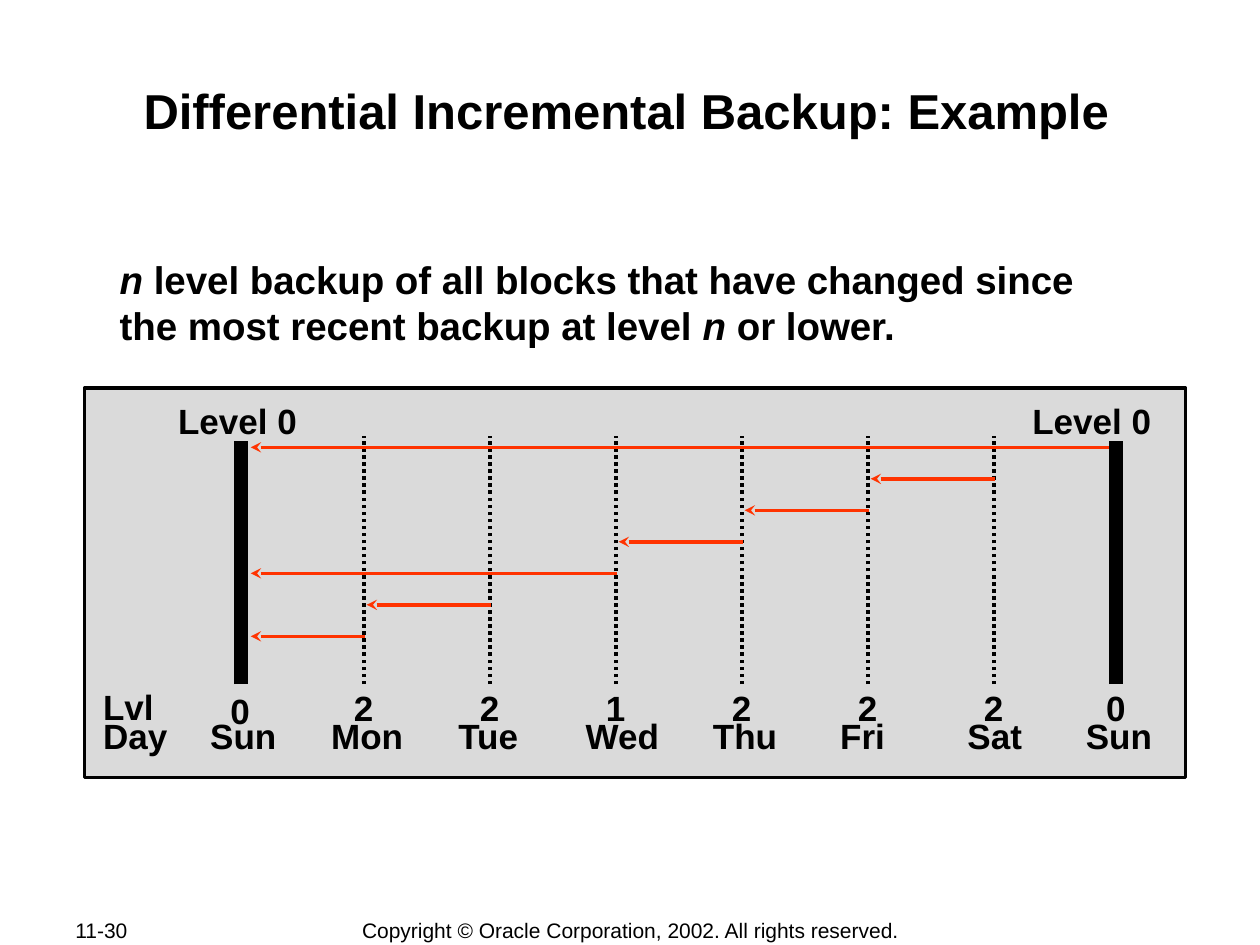
from pptx import Presentation
from pptx.dml.color import RGBColor
from pptx.enum.dml import MSO_LINE
from pptx.enum.shapes import MSO_CONNECTOR, MSO_SHAPE
from pptx.enum.text import MSO_ANCHOR, PP_ALIGN
from pptx.oxml.ns import qn
from pptx.util import Pt
from lxml import etree

BLACK = RGBColor(0x00, 0x00, 0x00)
GREY = RGBColor(0xDA, 0xDA, 0xDA)
RED = RGBColor(0xFF, 0x33, 0x00)
LEFT, CENTER = PP_ALIGN.LEFT, PP_ALIGN.CENTER
TOP, MIDDLE = MSO_ANCHOR.TOP, MSO_ANCHOR.MIDDLE
STRAIGHT, RECTANGLE = MSO_CONNECTOR.STRAIGHT, MSO_SHAPE.RECTANGLE
DOTTED = MSO_LINE.ROUND_DOT
COLS, ROWS = 10, 7.5

DAYS = ["Sun", "Mon", "Tue", "Wed", "Thu", "Fri", "Sat", "Sun"]
LEVELS = [0, 2, 2, 1, 2, 2, 2, 0]
DAY_X = [1.91] + [2.89 + i for i in range(6)] + [8.86]
LABEL_X = [1.57] + [2.53 + 1.01 * i for i in range(6)] + [8.52]
BACKUPS = [(1, 0), (2, 1), (3, 0), (4, 3), (5, 4), (6, 5), (7, 0)]


class SlideBuilder:
    font = "Arial"

    def __init__(self, prs):
        self.col = prs.slide_width / COLS
        self.row = prs.slide_height / ROWS
        self.s = prs.slides.add_slide(prs.slide_layouts[6])

    def place(self, x, y):
        return round(x * self.col), round(y * self.row)

    def text(self, box, lines, size=20, bold=True, align=LEFT, anchor=TOP,
             spacing=None, inset=(0.1, 0.05), wrap=True):
        x, y, w, h = box
        sp = self.s.shapes.add_textbox(*self.place(x, y), *self.place(w, h))
        tf = sp.text_frame
        tf.word_wrap = wrap
        tf.vertical_anchor = anchor
        tf.margin_left, tf.margin_top = self.place(*inset)
        tf.margin_right, tf.margin_bottom = self.place(*inset)
        for i, line in enumerate(lines):
            p = tf.add_paragraph() if i else tf.paragraphs[0]
            p.alignment = align
            p.line_spacing = spacing
            for part, italic in line:
                r = p.add_run()
                r.text = part
                r.font.name = self.font
                r.font.size = Pt(size)
                r.font.bold = bold
                r.font.italic = italic
                r.font.color.rgb = BLACK

    def label(self, box, *lines, **style):
        self.text(box, [[(line, False)] for line in lines], **style)

    def panel(self, x, y, w, h):
        sp = self.s.shapes.add_shape(RECTANGLE, *self.place(x, y), *self.place(w, h))
        sp.shadow.inherit = False
        sp.fill.solid()
        sp.fill.fore_color.rgb = GREY
        sp.line.color.rgb = BLACK
        sp.line.width = Pt(2)

    def line(self, start, end, color=BLACK, width=2, dash=None, arrow=False):
        cx = self.s.shapes.add_connector(STRAIGHT, *self.place(*start), *self.place(*end))
        cx.line.color.rgb = color
        cx.line.width = Pt(width)
        if dash:
            cx.line.dash_style = dash
        if arrow:
            etree.SubElement(cx.line._get_or_add_ln(), qn("a:headEnd"), type="stealth")
        etree.SubElement(cx._element.spPr, qn("a:effectLst"))


def main():
    prs = Presentation()
    prs.slide_width, prs.slide_height = Pt(720), Pt(540)
    b = SlideBuilder(prs)

    b.label((0.5, 7.28, 1.06, 0.2), "11-30", size=12, bold=False, anchor=MIDDLE)
    b.label((2.76, 7.28, 4.49, 0.21),
            "Copyright © Oracle Corporation, 2002. All rights reserved.",
            size=12, bold=False, align=CENTER, anchor=MIDDLE, wrap=False)
    b.label((0.97, 0.63, 8, 0.91), "Differential Incremental Backup: Example",
            size=28, align=CENTER, inset=(0.01, 0.01))
    b.text((0.94, 2.02, 8.06, 0.76), [[
        ("n", True),
        (" level backup of all blocks that have changed since the most recent backup at level ", False),
        ("n ", True),
        ("or lower.", False),
    ]], size=22, inset=(0.01, 0.01))

    b.panel(0.67, 3.08, 8.74, 3.09)
    b.label((0.72, 5.48, 0.76, 0.57), "Lvl", "Day", spacing=0.7)
    for x, label_x, day, level in zip(DAY_X, LABEL_X, DAYS, LEVELS):
        if level == 0:
            b.line((x, 5.43), (x, 3.5), width=8)
        else:
            b.line((x, 5.43), (x, 3.46), dash=DOTTED)
        b.label((label_x, 5.71, 0.9 if day in ("Mon", "Wed") else 0.74, 0.33),
                day, spacing=0.7)
        level_y = 5.57 if x == DAY_X[0] else 5.54
        b.label((x - 0.18, level_y, 0.41, 0.27), str(level), spacing=0.5)

    for x, w in ((0.96, 1.85), (7.92, 1.49)):
        b.label((x, 3.19, w, 0.37), "Level 0", align=CENTER, spacing=0.8)

    for i, (day, base) in enumerate(BACKUPS):
        y = 5.05 - 0.25 * i
        tip = DAY_X[base] + (0.02 if LEVELS[base] else 0.08)
        tail = DAY_X[day] + (0.01 if LEVELS[day] else -0.06)
        b.line((tip, y), (tail, y), color=RED, arrow=True)

    prs.save("out.pptx")


if __name__ == "__main__":
    main()
